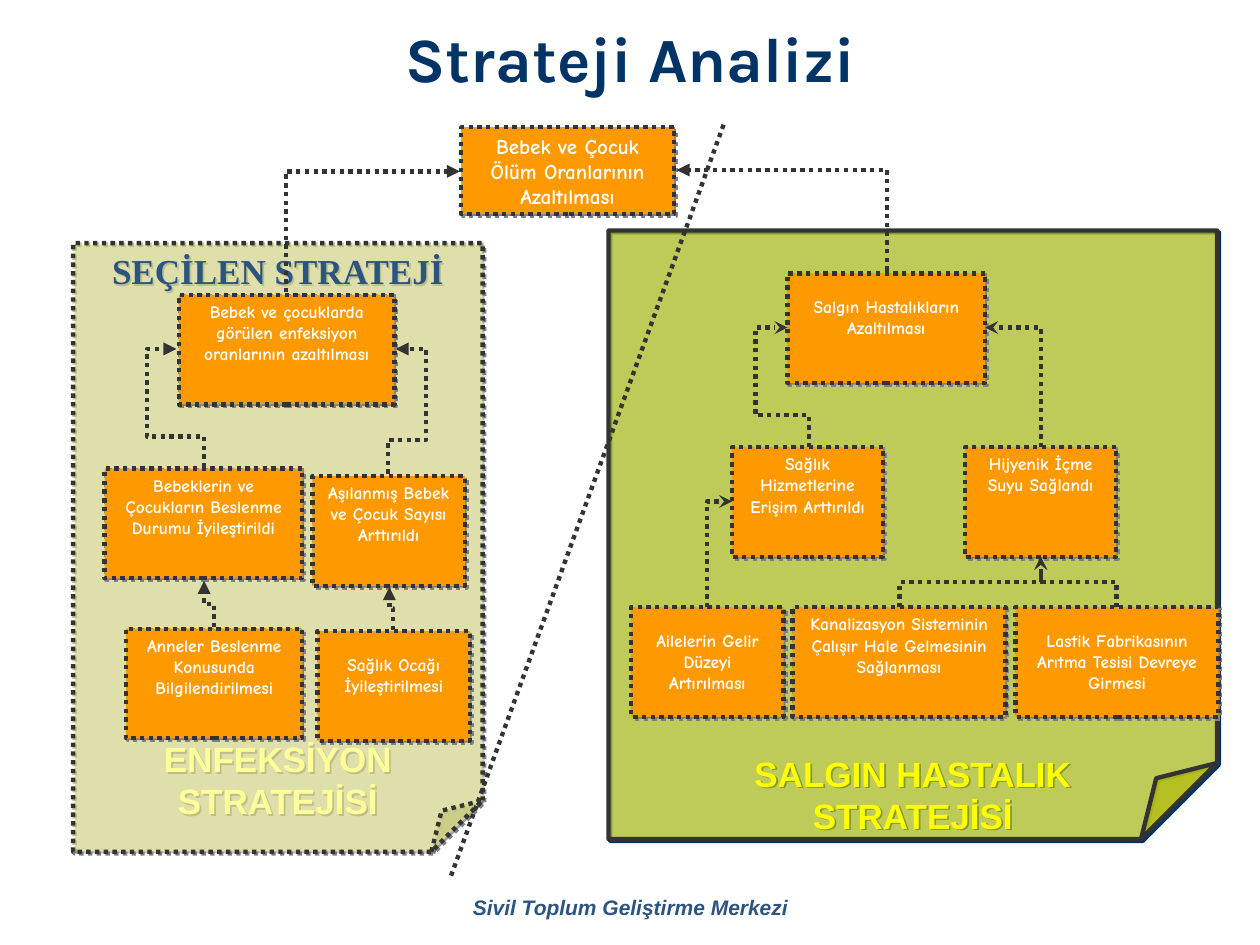
from dataclasses import dataclass

from pptx import Presentation
from pptx.dml.color import RGBColor
from pptx.enum.dml import MSO_LINE
from pptx.enum.shapes import MSO_CONNECTOR, MSO_SHAPE
from pptx.enum.text import MSO_ANCHOR, PP_ALIGN
from pptx.oxml.ns import qn
from pptx.util import Inches, Pt
from lxml.etree import SubElement


@dataclass(frozen=True)
class Theme:
    navy: str = "003366"
    blue: str = "2B5481"
    ink: str = "333333"
    orange: str = "FF9900"
    white: str = "FFFFFF"
    cream: str = "FFFF99"
    yellow: str = "FFFF00"
    grey: str = "808080"
    title: int = 36
    heading: int = 20
    goal: int = 12
    body: int = 10
    line: float = 2.5


T = Theme()
ROW_H = 0.87
LOWERED = 0.18  # top inset of boxes whose text starts lower

INFECTION_BOXES = [
    (1.42, 2.34, 1.71, "Bebek ve çocuklarda görülen enfeksiyon oranlarının azaltılması", 0.05),
    (0.83, 3.72, 1.57, "Bebeklerin ve Çocukların Beslenme Durumu İyileştirildi", 0.05),
    (2.48, 3.78, 1.21, "Aşılanmış Bebek ve Çocuk Sayısı Arttırıldı", 0.05),
    (1.0, 4.99, 1.4, "Anneler Beslenme Konusunda Bilgilendirilmesi", 0.05),
    (2.52, 5.01, 1.21, "Sağlık Ocağı İyileştirilmesi", LOWERED),
]
EPIDEMIC_BOXES = [
    (6.25, 2.17, 1.57, "Salgın Hastalıkların Azaltılması", LOWERED),
    (7.66, 3.55, 1.2, "Hijyenik İçme Suyu Sağlandı", 0.05),
    (5.81, 3.55, 1.2, "Sağlık Hizmetlerine Erişim Arttırıldı", 0.05),
    (8.06, 4.82, 1.61, "Lastik Fabrikasının Arıtma Tesisi Devreye Girmesi", LOWERED),
    (6.29, 4.82, 1.69, "Kanalizasyon Sisteminin Çalışır Hale Gelmesinin Sağlanması", 0.05),
    (5.01, 4.82, 1.21, "Ailelerin Gelir Düzeyi Artırılması", LOWERED),
]
# start, end, bends, fractions of the rise and of the sideways run
INFECTION_ARROWS = [
    ((1.62, 3.71), (1.4, 2.77), 4, (0.26, 2.06)),
    ((3.08, 3.76), (3.14, 2.77), 4, (0.27, 5.05)),
    ((1.7, 4.98), (1.62, 4.61), 3, (0.5,)),
    ((3.12, 5.0), (3.09, 4.66), 3, (0.5,)),
]
EPIDEMIC_ARROWS = [
    ((6.42, 3.55), (6.25, 2.6), 4, (0.27, 2.5)),
    ((8.26, 3.55), (7.82, 2.6), 2, ()),
    ((7.14, 4.82), (8.26, 4.42), 3, (0.5,)),
    ((5.61, 4.82), (5.81, 3.98), 2, ()),
    ((8.86, 4.82), (8.26, 4.42), 3, (0.5,)),
]
GOAL_ARROWS = [
    ((2.27, 2.32), (3.65, 1.36), 2, ()),
    ((7.04, 2.15), (5.37, 1.35), 2, ()),
]


def rgb(value):
    return RGBColor.from_string(value)


def style_text(p, text, size, font, color, italic=False):
    p.text = text
    p.alignment = PP_ALIGN.CENTER
    p.font.size = Pt(size)
    p.font.name = font
    p.font.bold = True
    p.font.italic = italic
    p.font.color.rgb = rgb(color)


def style_line(line, dotted=True):
    line.color.rgb = rgb(T.ink)
    line.width = Pt(T.line)
    if dotted:
        line.dash_style = MSO_LINE.ROUND_DOT


def set_guide(geom, name, fraction):
    """Set one adjustment of a preset geometry."""
    SubElement(geom.find(qn("a:avLst")), qn("a:gd"), name=name,
               fmla=f"val {round(fraction * 100000)}")


def add_block(slide, kind, x, y, w, h, fill, shadow=T.grey, dotted=True):
    """Add a filled, outlined shape with a small shadow to the lower right."""
    sp = slide.shapes.add_shape(kind, Inches(x), Inches(y), Inches(w), Inches(h))
    sp.fill.solid()
    sp.fill.fore_color.rgb = rgb(fill)
    style_line(sp.line, dotted)
    sp.shadow.inherit = False
    effects = sp._element.spPr.find(qn("a:effectLst"))
    outer = SubElement(effects, qn("a:outerShdw"), dist="17961", dir="2700000", algn="ctr")
    SubElement(outer, qn("a:srgbClr"), val=shadow)
    sp.text_frame.vertical_anchor = MSO_ANCHOR.TOP
    return sp


def add_box(slide, x, y, w, text, top_inset=0.05, h=ROW_H, size=T.body):
    sp = add_block(slide, MSO_SHAPE.RECTANGLE, x, y, w, h, T.orange)
    tf = sp.text_frame
    tf.word_wrap = True
    tf.margin_top = Inches(top_inset)
    style_text(tf.paragraphs[0], text, size, "Comic Neue", T.white)


def add_panel(slide, x, y, w, h, fill, **look):
    """Add a half-transparent folded sheet and return its text frame."""
    sp = add_block(slide, MSO_SHAPE.FOLDED_CORNER, x, y, w, h, fill, **look)
    spPr = sp._element.spPr
    set_guide(spPr.find(qn("a:prstGeom")), "adj", 0.125)
    color = spPr.find(qn("a:solidFill")).find(qn("a:srgbClr"))
    SubElement(color, qn("a:alpha"), val="50000")
    return sp.text_frame


def add_caption(paragraphs, lines, color):
    for p, text in zip(paragraphs, lines):
        style_text(p, text, T.heading, "Arial", color)


def add_line(slide, kind, x1, y1, x2, y2):
    cxn = slide.shapes.add_connector(kind, Inches(x1), Inches(y1), Inches(x2), Inches(y2))
    style_line(cxn.line)
    SubElement(cxn._element.spPr, qn("a:effectLst"))
    return cxn


def add_arrow(slide, start, end, bends, fractions, head):
    """Add an elbow arrow that leaves its start upwards."""
    (x1, y1), (x2, y2) = start, end
    cx, cy = (x1 + x2) / 2, (y1 + y2) / 2
    rise, run = abs(y2 - y1), abs(x2 - x1)
    cxn = add_line(slide, MSO_CONNECTOR.ELBOW, cx - rise / 2, cy - run / 2,
                   cx + rise / 2, cy + run / 2)
    spPr = cxn._element.spPr
    xfrm = spPr.find(qn("a:xfrm"))
    xfrm.set("rot", str(270 * 60000))
    if x2 < x1:
        xfrm.set("flipV", "1")
    geom = spPr.find(qn("a:prstGeom"))
    geom.set("prst", f"bentConnector{bends}")
    for i, fraction in enumerate(fractions, 1):
        set_guide(geom, f"adj{i}", fraction)
    SubElement(spPr.find(qn("a:ln")), qn("a:tailEnd"), type=head)


def add_tree(slide, boxes, arrows, head):
    for box in boxes:
        add_box(slide, *box)
    for arrow in arrows:
        add_arrow(slide, *arrow, head)


def add_title(slide, text):
    title = slide.shapes.title
    title.left, title.top = Inches(0.17), Inches(0.08)
    title.width, title.height = Inches(9.67), Inches(0.75)
    title.text_frame.vertical_anchor = MSO_ANCHOR.MIDDLE
    style_text(title.text_frame.paragraphs[0], text, T.title, "Karla", T.navy)


def add_footer(slide, text):
    sp = slide.shapes.add_textbox(Inches(2.92), Inches(7.05), Inches(4.17), Inches(0.3))
    tf = sp.text_frame
    tf.word_wrap = True
    tf.vertical_anchor = MSO_ANCHOR.MIDDLE
    style_text(tf.paragraphs[0], text, T.goal, "Arial", T.blue, italic=True)


def main():
    prs = Presentation()
    prs.slide_width, prs.slide_height = Inches(10), Inches(7.5)
    slide = prs.slides.add_slide(prs.slide_layouts[5])
    add_footer(slide, "Sivil Toplum Geliştirme Merkezi")
    add_title(slide, "Strateji Analizi")

    tf = add_panel(slide, 0.58, 1.93, 3.25, 4.83, T.cream)
    style_text(tf.paragraphs[0], "SEÇİLEN STRATEJİ", T.heading, "Times New Roman", T.blue)
    caption = [tf.add_paragraph(), tf.add_paragraph()]
    add_caption(caption, ["ENFEKSİYON", "STRATEJİSİ"], T.cream)
    caption[0].space_before = Pt(255)
    add_tree(slide, INFECTION_BOXES, INFECTION_ARROWS, "triangle")

    tf = add_panel(slide, 4.83, 1.83, 4.83, 4.83, T.yellow, shadow=T.navy, dotted=False)
    tf.margin_top, tf.margin_bottom = Inches(4.14), 0
    add_caption([tf.paragraphs[0], tf.add_paragraph()],
                ["SALGIN HASTALIK", "STRATEJİSİ"], T.yellow)
    add_tree(slide, EPIDEMIC_BOXES, EPIDEMIC_ARROWS, "stealth")

    add_line(slide, MSO_CONNECTOR.STRAIGHT, 3.58, 6.95, 5.75, 0.97)
    add_box(slide, 3.66, 1.01, 1.69, "Bebek ve Çocuk Ölüm Oranlarının Azaltılması", h=0.69, size=T.goal)
    for arrow in GOAL_ARROWS:
        add_arrow(slide, *arrow, "triangle")
    prs.save("out.pptx")


if __name__ == "__main__":
    main()
